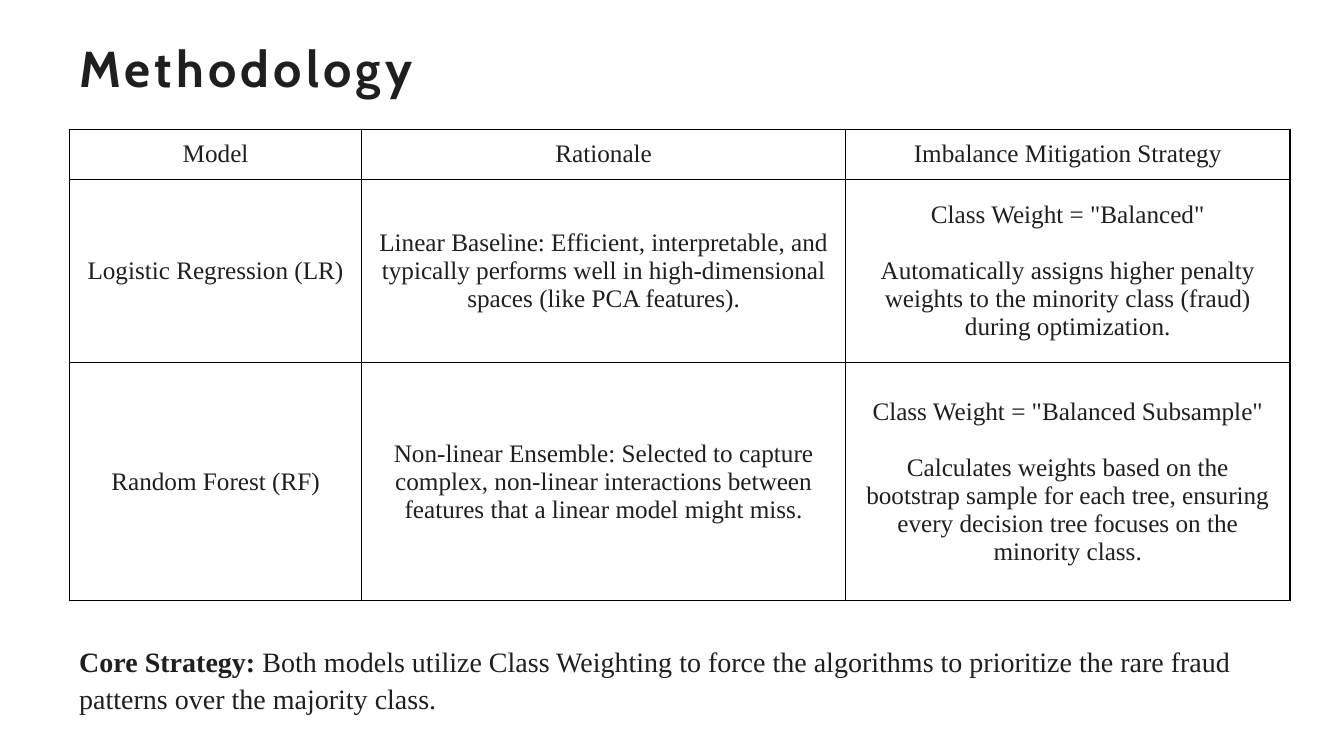
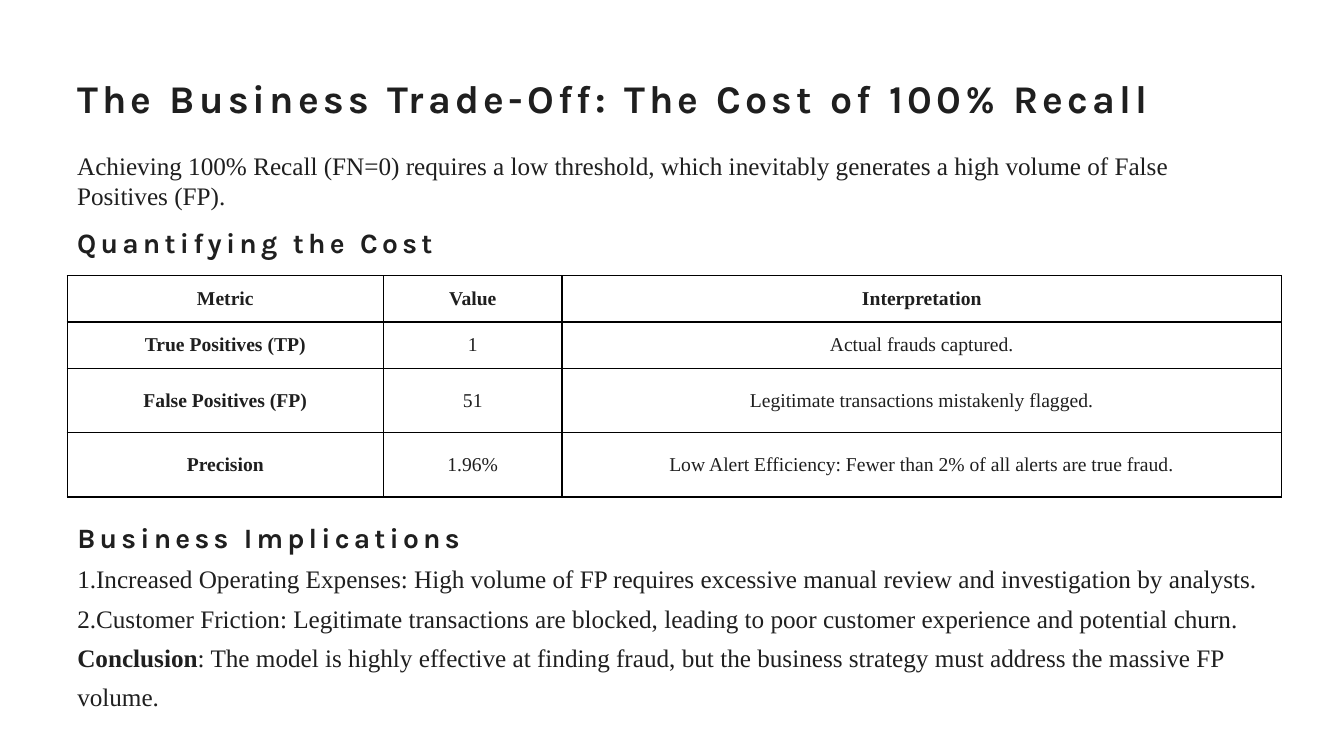
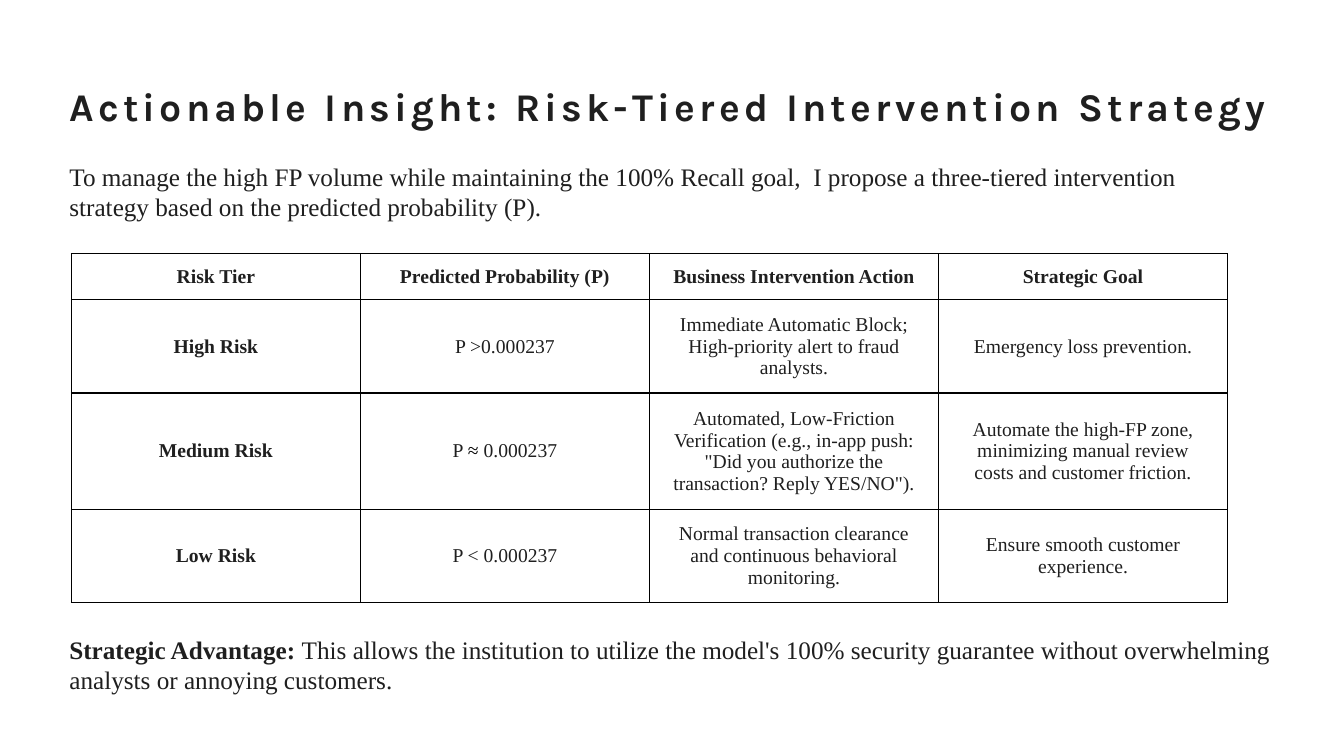
from lxml import etree
from pptx import Presentation
from pptx.dml.color import RGBColor
from pptx.enum.text import MSO_ANCHOR, MSO_AUTO_SIZE, PP_ALIGN
from pptx.oxml.ns import qn
from pptx.util import Pt

INK = RGBColor(0x1F, 0x1F, 0x1F)
BLACK = RGBColor(0, 0, 0)
SERIF = "Times New Roman"
KARLA = "Karla"
CABIN = "Cabin"
LEFT = PP_ALIGN.LEFT
CENTER = PP_ALIGN.CENTER
MIDDLE = MSO_ANCHOR.MIDDLE
TOP = MSO_ANCHOR.TOP
NO_FIT = MSO_AUTO_SIZE.NONE
TITLE_AND_BODY = 1
TITLE_ONLY = 5
BORDERS = ("a:lnL", "a:lnR", "a:lnT", "a:lnB")


def place(shape, box):
    shape.left, shape.top, shape.width, shape.height = map(Pt, box)


def write(para, spans, size, font=SERIF, bold=False, align=LEFT, spacing=1.0):
    para.alignment = align
    para.line_spacing = spacing
    para.space_before = para.space_after = Pt(0)
    para.font.name = font
    para.font.size = Pt(size)
    para.font.color.rgb = INK
    if isinstance(spans, str):
        para.font.bold = bold
        para.add_run().text = spans
        return
    for text, strong in spans:
        span = para.add_run()
        span.text = text
        span.font.bold = strong


def write_heading(para, text, size, font=KARLA):
    write(para, text, size, font, bold=True)
    for span in para.runs:
        span._r.get_or_add_rPr().set("spc", "300")


def set_bullet(para, number_style=None):
    properties = para._p.get_or_add_pPr()
    properties.set("marL", "0")
    properties.set("indent", "0")
    name = "a:buAutoNum" if number_style else "a:buNone"
    bullet = etree.Element(qn(name))
    if number_style:
        bullet.set("type", number_style)
    default = properties.find(qn("a:defRPr"))
    if default is None:
        properties.append(bullet)
    else:
        default.addprevious(bullet)


def add_page(deck, layout, title, box, size=28, font=KARLA):
    page = deck.slides.add_slide(deck.slide_layouts[layout])
    place(page.shapes.title, box)
    frame = page.shapes.title.text_frame
    frame.word_wrap = True
    frame.auto_size = NO_FIT
    frame.vertical_anchor = MIDDLE
    write_heading(frame.paragraphs[0], title, size, font)
    return page


def add_text(page, box):
    shape = page.shapes.add_textbox(*map(Pt, box))
    shape.text_frame.word_wrap = True
    return shape.text_frame.paragraphs[0]


def set_borders(cell):
    properties = cell._tc.get_or_add_tcPr()
    for position, name in enumerate(BORDERS):
        line = etree.Element(qn(name), w=str(Pt(1)))
        fill = etree.SubElement(line, qn("a:solidFill"))
        etree.SubElement(fill, qn("a:srgbClr"), val=str(BLACK))
        properties.insert(position, line)


def fill_cell(cell, content, size, bold):
    cell.fill.background()
    set_borders(cell)
    cell.vertical_anchor = MIDDLE
    cell.margin_left = cell.margin_right = Pt(12)
    cell.margin_top = cell.margin_bottom = Pt(8)
    frame = cell.text_frame
    for position, text in enumerate(content.split("\n")):
        para = frame.add_paragraph() if position else frame.paragraphs[0]
        write(para, text, size, bold=bold, align=CENTER)
        if position:
            para.space_before = Pt(20)


def add_grid(page, left, top, widths, heights, rows, size, bold_labels=True):
    frame = page.shapes.add_table(len(rows), len(widths), Pt(left), Pt(top),
                                  Pt(sum(widths)), Pt(sum(heights)))
    table = frame.table
    table.first_row = table.horz_banding = False
    for column, width in zip(table.columns, widths):
        column.width = Pt(width)
    for row, height in zip(table.rows, heights):
        row.height = Pt(height)
    for r, row in enumerate(rows):
        for c, content in enumerate(row):
            bold = bold_labels and (r == 0 or c == 0)
            fill_cell(table.cell(r, c), content, size, bold)
    return table


def add_implications(page, box):
    body = page.placeholders[1]
    place(body, box)
    frame = body.text_frame
    frame.word_wrap = True
    frame.auto_size = NO_FIT
    frame.vertical_anchor = TOP
    heading = frame.paragraphs[0]
    write_heading(heading, "Business Implications", 20)
    set_bullet(heading)
    for text in (
        "Increased Operating Expenses: High volume of FP requires excessive "
        "manual review and investigation by analysts.",
        "Customer Friction: Legitimate transactions are blocked, leading to "
        "poor customer experience and potential churn.",
    ):
        para = frame.add_paragraph()
        write(para, text, 18, spacing=1.3)
        set_bullet(para, "arabicPeriod")
    conclusion = frame.add_paragraph()
    write(conclusion, [
        ("Conclusion", True),
        (": The model is highly effective at finding fraud, but the business "
         "strategy must address the massive FP volume.", False),
    ], 18, spacing=1.3)
    set_bullet(conclusion)


def build_methodology(deck):
    page = add_page(deck, TITLE_ONLY, "Methodology",
                    (49.5, 20, 455, 55.5), 36, CABIN)
    add_grid(page, 49.5, 92.2, (209, 345.5, 317.5), (36, 131, 170), [
        ("Model", "Rationale", "Imbalance Mitigation Strategy"),
        ("Logistic Regression (LR)",
         "Linear Baseline: Efficient, interpretable, and typically performs "
         "well in high-dimensional spaces (like PCA features).",
         "Class Weight = \"Balanced\"\nAutomatically assigns higher penalty "
         "weights to the minority class (fraud) during optimization."),
        ("Random Forest (RF)",
         "Non-linear Ensemble: Selected to capture complex, non-linear "
         "interactions between features that a linear model might miss.",
         "Class Weight = \"Balanced Subsample\"\nCalculates weights based on "
         "the bootstrap sample for each tree, ensuring every decision tree "
         "focuses on the minority class."),
    ], 18, bold_labels=False)
    write(add_text(page, (49.5, 454.5, 892, 46)), [
        ("Core Strategy:", True),
        (" Both models utilize Class Weighting to force the algorithms to "
         "prioritize the rare fraud patterns over the majority class.", False),
    ], 20, spacing=1.1)


def build_trade_off(deck):
    left = 48
    page = add_page(deck, TITLE_AND_BODY,
                    "The Business Trade-Off: The Cost of 100% Recall",
                    (left, 42, 904, 55.5))
    write(add_text(page, (left, 103.5, 832, 51)),
          "Achieving 100% Recall (FN=0) requires a low threshold, which "
          "inevitably generates a high volume of False Positives (FP).", 18)
    write_heading(add_text(page, (left, 157.5, 480, 31.5)),
                  "Quantifying the Cost", 20)
    add_grid(page, left, 197, (226, 127.5, 514), (33, 33, 46, 46), [
        ("Metric", "Value", "Interpretation"),
        ("True Positives (TP)", "1", "Actual frauds captured."),
        ("False Positives (FP)", "51",
         "Legitimate transactions mistakenly flagged."),
        ("Precision", "1.96%",
         "Low Alert Efficiency: Fewer than 2% of all alerts are true fraud."),
    ], 14)
    add_implications(page, (left, 368.5, 885.5, 145))


def build_intervention(deck):
    left = 42.5
    page = add_page(deck, TITLE_ONLY,
                    "Actionable Insight: Risk-Tiered Intervention Strategy",
                    (left, 48, 908.5, 55.5))
    write(add_text(page, (left, 111.5, 826, 51)),
          "To manage the high FP volume while maintaining the 100% Recall "
          "goal,  I propose a three-tiered intervention strategy based on "
          "the predicted probability (P).", 18)
    table = add_grid(page, 51, 181.2, (206.5,) * 4, (33, 66.5, 83, 66.5), [
        ("Risk Tier", "Predicted Probability (P)",
         "Business Intervention Action", "Strategic Goal"),
        ("High Risk", "P >0.000237",
         "Immediate Automatic Block; High-priority alert to fraud analysts.",
         "Emergency loss prevention."),
        ("Medium Risk", "",
         "Automated, Low-Friction Verification (e.g., in-app push: \"Did you "
         "authorize the transaction? Reply YES/NO\").",
         "Automate the high-FP zone, minimizing manual review costs and "
         "customer friction."),
        ("Low Risk", "P < 0.000237",
         "Normal transaction clearance and continuous behavioral monitoring.",
         "Ensure smooth customer experience."),
    ], 14)
    threshold = table.cell(2, 1).text_frame.paragraphs[0]
    threshold.clear()
    write(threshold, [("P ", False), ("≈ ", False), ("0.000237", False)],
          14, align=CENTER)
    threshold.runs[1].font.color.rgb = BLACK
    write(add_text(page, (left, 449.5, 877.5, 51)), [
        ("Strategic Advantage: ", True),
        ("This allows the institution to utilize the model's 100% security "
         "guarantee without overwhelming analysts or annoying customers.",
         False),
    ], 18)


def main():
    deck = Presentation()
    deck.slide_width, deck.slide_height = Pt(960), Pt(540)
    build_methodology(deck)
    build_trade_off(deck)
    build_intervention(deck)
    deck.save("out.pptx")


if __name__ == "__main__":
    main()
